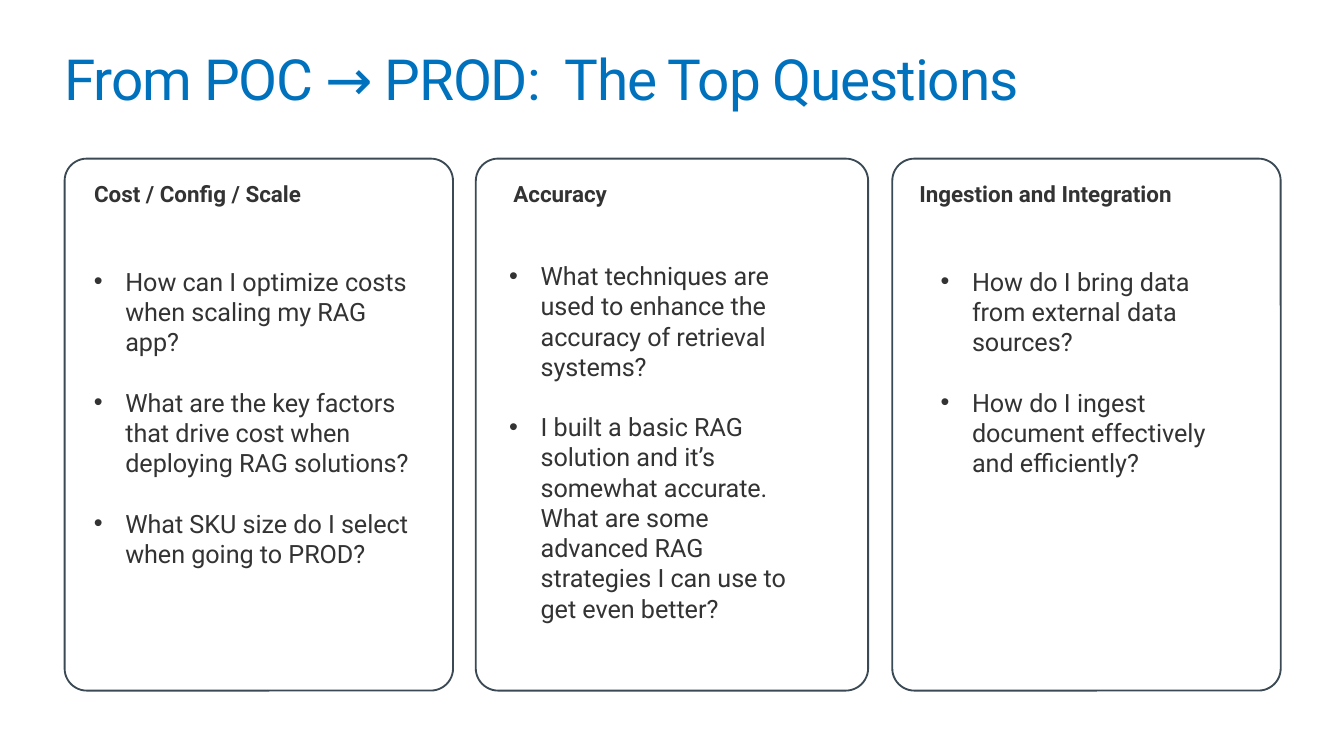
from lxml.etree import SubElement
from pptx import Presentation
from pptx.dml.color import RGBColor
from pptx.enum.shapes import MSO_SHAPE as Shape
from pptx.enum.text import MSO_ANCHOR as Anchor
from pptx.oxml.ns import qn
from pptx.util import Pt

TEXT_COLOR = "333333"
BULLET_INDENT = Pt(16.88)


def color(hex_string):
    return RGBColor.from_string(hex_string)


def add_text(bounds, lines, size, hex_color, bold=False, bullets=False, **frame_format):
    """Add a text box with one paragraph per line; return its text frame."""
    frame = slide.shapes.add_textbox(*map(Pt, bounds)).text_frame
    frame.word_wrap = True
    for name, value in frame_format.items():
        setattr(frame, name, value)
    for index, line in enumerate(lines):
        para = frame.paragraphs[0] if index == 0 else frame.add_paragraph()
        if bullets:
            para.space_before = Pt(16.2 if index else 0)
            properties = para._p.get_or_add_pPr()
            properties.set("marL", str(BULLET_INDENT))
            properties.set("indent", str(-BULLET_INDENT))
            SubElement(properties, qn("a:buFont"), typeface="Arial")
            SubElement(properties, qn("a:buChar"), char="•")
        else:
            para.line_spacing = 0.9
        span = para.add_run()
        span.text = line
        span.font.color.rgb = color(hex_color)
        for name, value in {"name": "Roboto", "size": Pt(size), "bold": bold}.items():
            setattr(span.font, name, value)
    return frame


deck = Presentation()
deck.slide_width, deck.slide_height = Pt(720), Pt(405)
slide = deck.slides.add_slide(deck.slide_layouts[6])

no_margins = dict.fromkeys(
    ("margin_left", "margin_top", "margin_right", "margin_bottom"), 0)

title = add_text((34.6, 27.4, 650.9, 33.1), ["From POC → PROD:  The Top Questions"],
                 30.4, "0071BC", **no_margins)
title.paragraphs[0].runs[0].font._element.set("spc", "-60")

# Each column: card (left, width), heading (left, width), questions box, questions
columns = [
    ("Cost / Config / Scale", (34.6, 208.1), (50.4, 177.1), (43.2, 139, 183.6, 170.6), [
        "How can I optimize costs when scaling my RAG app?",
        "What are the key factors that drive cost when deploying RAG solutions?",
        "What SKU size do I select when going to PROD?",
    ]),
    ("Accuracy", (254.9, 210.2), (275, 181.4), (265.7, 136, 180.7, 203.8), [
        "What techniques are used to enhance the accuracy of retrieval systems?",
        "I built a basic RAG solution and it’s somewhat accurate. What are some "
        "advanced RAG strategies I can use to get even better?",
    ]),
    ("Ingestion and Integration", (478, 208.1), (492.5, 177.1), (496.8, 139, 169.2, 121.7), [
        "How do I bring data from external data sources?",
        "How do I ingest document effectively and efficiently?",
    ]),
]

for heading, card_span, heading_span, question_bounds, questions in columns:
    left, width = card_span
    card = slide.shapes.add_shape(
        Shape.ROUNDED_RECTANGLE, Pt(left), Pt(85), Pt(width), Pt(285))
    card.adjustments[0] = 0.057
    card.shadow.inherit = False
    card.fill.background()
    card.line.color.rgb = color("3A4953")
    card.line.width = Pt(1)

    left, width = heading_span
    add_text((left, 95.8, width, 18), [heading], 12, TEXT_COLOR, bold=True,
             vertical_anchor=Anchor.MIDDLE, **no_margins)
    add_text(question_bounds, questions, 13.5, TEXT_COLOR, bullets=True)

deck.save("out.pptx")
